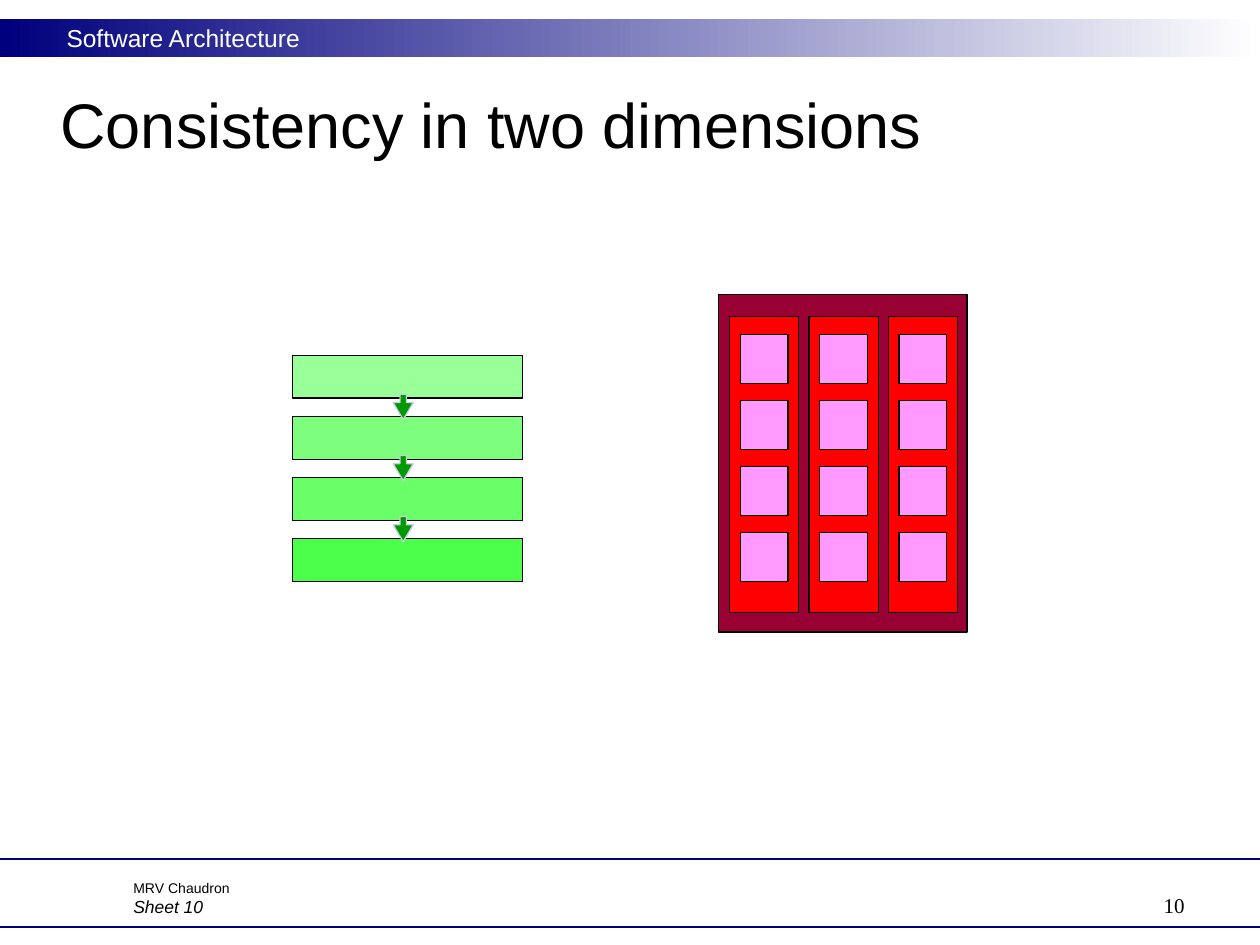
from pptx import Presentation
from pptx.dml.color import RGBColor
from pptx.enum.shapes import MSO_CONNECTOR as Connector, MSO_SHAPE as Shape
from pptx.enum.text import MSO_ANCHOR as Anchor, PP_ALIGN as Align
from pptx.oxml.ns import qn
from pptx.util import Inches, Pt
from lxml.etree import SubElement

# Content: each paragraph is its text and its font format
TITLE = [("Consistency in two dimensions", {"size": 36})]
HEADER = [("Software Architecture", {"size": 14, "color": "FFFFFF"})]
FOOTER = [("MRV Chaudron", {"size": 8}), ("Sheet 10", {"size": 10, "italic": True})]
PAGE_NUMBER = [("10", {"size": 12, "name": "Times New Roman"})]

NAVY, BLACK = "00007D", "000000"
LAYER_FILLS = ["99FF99", "7DFF7D", "69FF69", "4BFF4B"]
RULE_TOPS = [6.82, 7.36]
COLUMNS, CELLS = 3, 4


def rgb(value):
    return RGBColor.from_string(value)


def write(box, paragraphs, anchor=Anchor.TOP, align=Align.LEFT):
    frame = box.text_frame
    frame.word_wrap = True
    frame.vertical_anchor = anchor
    for index, (text, style) in enumerate(paragraphs):
        para = frame.paragraphs[0] if index == 0 else frame.add_paragraph()
        para.alignment = align
        span = para.add_run()
        span.text = text
        values = {"name": "Arial", "color": BLACK, **style}
        span.font.color.rgb = rgb(values.pop("color"))
        values["size"] = Pt(values["size"])
        for key, value in values.items():
            setattr(span.font, key, value)


def add_text(slide, place, paragraphs, **layout):
    box = slide.shapes.add_textbox(*map(Inches, place))
    write(box, paragraphs, **layout)


def add_block(parent, place, fill, kind=Shape.RECTANGLE, line=BLACK, rotation=0):
    block = parent.shapes.add_shape(kind, *map(Inches, place))
    block.shadow.inherit = False
    block.fill.solid()
    block.fill.fore_color.rgb = rgb(fill)
    block.line.color.rgb = rgb(line)
    block.line.width = Pt(0.75)
    block.rotation = rotation
    return block


def add_frame(slide):
    # Header band fading to white
    band = slide.shapes.add_shape(
        Shape.RECTANGLE, Inches(0), Inches(0.15), Inches(10), Inches(0.3))
    band.shadow.inherit = False
    band.line.fill.background()
    band.fill.gradient()
    band.fill.gradient_angle = 0
    for stop, color in zip(band.fill.gradient_stops, [NAVY, "FFFFFF"]):
        stop.color.rgb = rgb(color)
    add_text(slide, (0.43, 0.13, 9.14, 0.33), HEADER)

    # Footer rules and texts
    for top in RULE_TOPS:
        rule = slide.shapes.add_connector(
            Connector.STRAIGHT, Inches(10), Inches(top), Inches(0), Inches(top))
        rule.line.color.rgb = rgb(NAVY)
        rule.line.width = Pt(1.25)
        SubElement(rule.element.spPr, qn("a:effectLst"))
    add_text(slide, (7.17, 6.83, 2.33, 0.5), PAGE_NUMBER,
             anchor=Anchor.BOTTOM, align=Align.RIGHT)
    add_text(slide, (0.96, 6.84, 8.07, 0.49), FOOTER, anchor=Anchor.BOTTOM)


def add_grid(slide):
    # Three upright columns of four cells, all turned a quarter
    grid = slide.shapes.add_group_shape()
    add_block(grid, (5.35, 2.69, 2.68, 1.97), "990033", rotation=270)
    shifts = [0.63 * column for column in range(COLUMNS)]
    for shift in shifts:
        add_block(grid, (4.89 + shift, 3.41, 2.35, 0.55), "FF0000", rotation=270)
    for shift in shifts:
        for cell in range(CELLS):
            top = 2.66 + 0.524 * cell
            add_block(grid, (5.87 + shift, top, 0.39, 0.38), "FF99FF", rotation=270)


def add_layers(slide):
    # Stacked layers, then an arrow from each one down to the next
    stack = slide.shapes.add_group_shape()
    pitch = 0.485
    for index, fill in enumerate(LAYER_FILLS):
        add_block(stack, (2.32, 2.82 + pitch * index, 1.83, 0.34), fill)
    for index in range(len(LAYER_FILLS) - 1):
        arrow = add_block(stack, (3.1, 3.15 + pitch * index, 0.2, 0.16), "009900",
                          kind=Shape.RIGHT_ARROW, line="CCCCE6", rotation=90)
        arrow.adjustments[0] = 0.32
        arrow.adjustments[1] = 0.84


def main():
    deck = Presentation()
    deck.slide_width, deck.slide_height = Inches(10), Inches(7.5)
    slide = deck.slides.add_slide(deck.slide_layouts[5])
    add_frame(slide)

    title = slide.shapes.title
    title.left, title.top, title.width, title.height = map(
        Inches, (0.38, 0.57, 9.35, 0.82))
    write(title, TITLE, anchor=Anchor.MIDDLE)

    add_grid(slide)
    add_layers(slide)
    deck.save("out.pptx")


if __name__ == "__main__":
    main()
